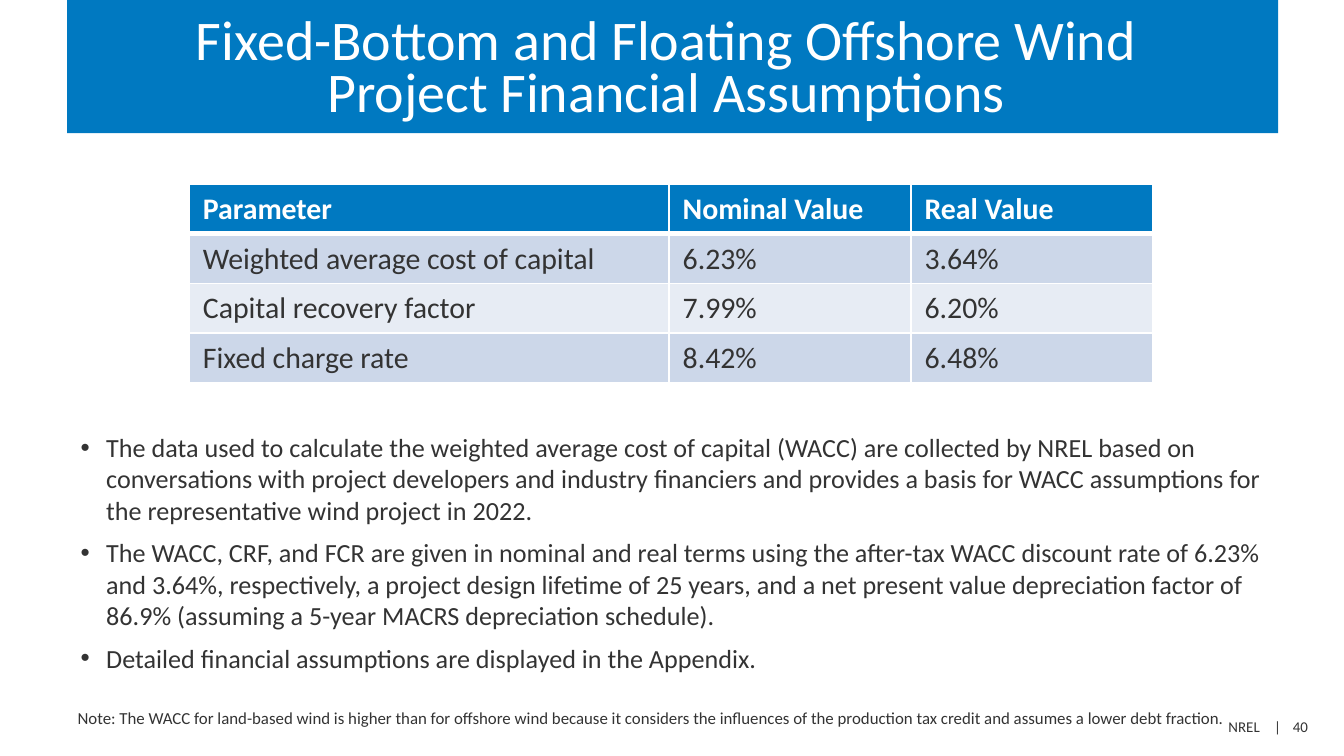
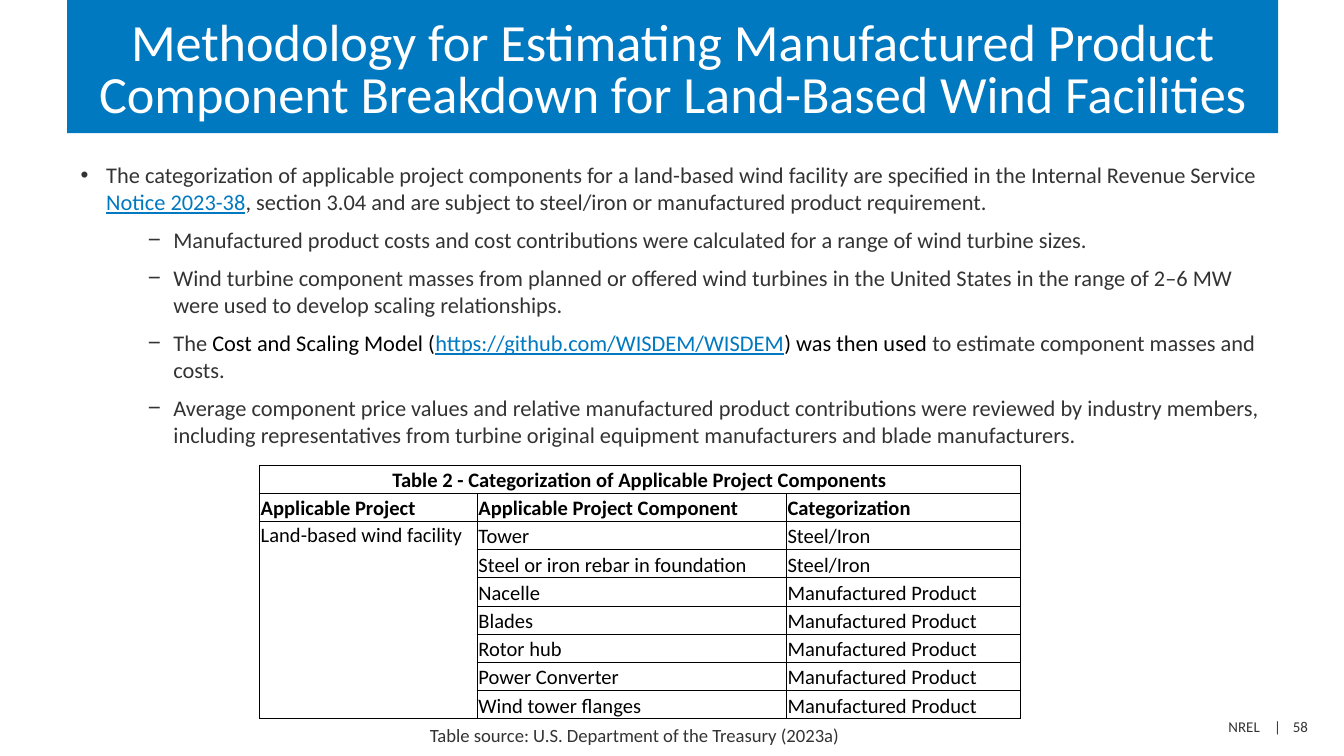
from lxml.etree import SubElement
from pptx import Presentation
from pptx.dml.color import RGBColor
from pptx.enum.text import MSO_ANCHOR as Anchor, MSO_AUTO_SIZE as AutoSize, PP_ALIGN as Align
from pptx.oxml.ns import qn
from pptx.util import Pt

PX = 9144
FONT = "Calibri"
BLUE = RGBColor(0x00, 0x79, 0xC1)
INK = RGBColor(0x33, 0x33, 0x33)
BLACK = RGBColor(0x00, 0x00, 0x00)
WHITE = RGBColor(0xFF, 0xFF, 0xFF)
BAND_DARK = RGBColor(0xCC, 0xD7, 0xE9)
BAND_LIGHT = RGBColor(0xE7, 0xEC, 0xF4)
BULLETS = [("•", 19), ("−", 69)]
HANGING = 19


def style_text(frame, size, color, bold=False):
    for paragraph in frame.paragraphs:
        for run in paragraph.runs:
            run.font.name = FONT
            run.font.size = Pt(size)
            run.font.bold = bold
            run.font.color.rgb = color


def add_grid(slide, rows, left, top, widths, row_height, border, thickness):
    grid = slide.shapes.add_table(
        len(rows), len(widths), left * PX, top * PX, sum(widths) * PX, len(rows) * row_height * PX
    ).table
    grid.first_row = grid.horz_banding = False
    for column, width in zip(grid.columns, widths):
        column.width = width * PX
    for row, values in zip(grid.rows, rows):
        row.height = row_height * PX
        for cell, value in zip(row.cells, values):
            cell.text_frame.text = value
            properties = cell._tc.get_or_add_tcPr()
            for side in ("lnL", "lnR", "lnT", "lnB"):
                line = SubElement(properties, qn(f"a:{side}"), w=str(Pt(thickness)))
                fill = SubElement(line, qn("a:solidFill"))
                SubElement(fill, qn("a:srgbClr"), val=str(border))
    return grid


pages = [
    {
        "title": "Fixed-Bottom and Floating Offshore Wind \vProject Financial Assumptions ",
        "title_size": 30,
        "number": 40,
        "body_top": 316,
        "body_height": 224,
        "body_size": 14,
        "body": [
            (0, [("The data used to calculate the weighted average cost of capital (WACC) are collected by "
                  "NREL based on conversations with project developers and industry financiers and provides "
                  "a basis for WACC assumptions for the representative wind project in 2022.", INK)]),
            (0, [("The WACC, CRF, and FCR are given in nominal and real terms using the after-tax WACC "
                  "discount rate of 6.23% and 3.64%, respectively, a project design lifetime of 25 years, "
                  "and a net present value depreciation factor of 86.9% (assuming a 5-year MACRS "
                  "depreciation schedule).", INK)]),
            (0, [("Detailed financial assumptions are displayed in the Appendix.", INK)]),
        ],
        "caption": "Note: The WACC for land-based wind is higher than for offshore wind because it considers "
                   "the influences of the production tax credit and assumes a lower debt fraction.",
        "caption_box": (48, 522, 883, 25),
        "caption_size": 9,
        "caption_wrap": True,
    },
    {
        "title": "Methodology for Estimating Manufactured Product Component Breakdown "
                 "for Land-Based Wind Facilities",
        "title_size": 28,
        "number": 58,
        "body_top": 115,
        "body_height": 308,
        "body_size": 12,
        "body": [
            (0, [("The categorization of applicable project components for a land-based wind facility are "
                  "specified in the Internal Revenue Service ", INK),
                 ("Notice 2023-38", BLUE),
                 (", section 3.04 and are subject to steel/iron or manufactured product requirement.", INK)]),
            (1, [("Manufactured product costs and cost contributions were calculated for a range of wind "
                  "turbine sizes.", INK)]),
            (1, [("Wind turbine component masses from planned or offered wind turbines in the United States "
                  "in the range of 2–6 MW were used to develop scaling relationships.", INK)]),
            (1, [("The ", INK),
                 ("Cost and Scaling Model (", BLACK),
                 ("https://github.com/WISDEM/WISDEM", BLUE),
                 (") was then used ", BLACK),
                 ("to estimate component masses and costs.", INK)]),
            (1, [("Average component price values and relative manufactured product contributions were "
                  "reviewed by industry members, including representatives from turbine original equipment "
                  "manufacturers and blade manufacturers.", INK)]),
        ],
        "caption": "Table source: U.S. Department of the Treasury (2023a)",
        "caption_box": (310, 534, 331, 27),
        "caption_size": 10,
        "caption_wrap": False,
    },
]

financial_rows = [
    ("Parameter", "Nominal Value", "Real Value"),
    ("Weighted average cost of capital", "6.23%", "3.64%"),
    ("Capital recovery factor", "7.99%", "6.20%"),
    ("Fixed charge rate", "8.42%", "6.48%"),
]
components = [
    ("Tower", "Steel/Iron"),
    ("Steel or iron rebar in foundation", "Steel/Iron"),
    ("Nacelle", "Manufactured Product"),
    ("Blades", "Manufactured Product"),
    ("Rotor hub", "Manufactured Product"),
    ("Power Converter", "Manufactured Product"),
    ("Wind tower flanges", "Manufactured Product"),
]
component_rows = [
    ("Table 2 - Categorization of Applicable Project Components", "", ""),
    ("Applicable Project", "Applicable Project Component", "Categorization"),
]
for index, component in enumerate(components):
    component_rows.append(("" if index else "Land-based wind facility", *component))

deck = Presentation()
deck.slide_width = 1000 * PX
deck.slide_height = deck.slide_width * 9 // 16

for page in pages:
    slide = deck.slides.add_slide(deck.slide_layouts[1])

    title = slide.shapes.title
    title.left, title.top, title.width, title.height = 50 * PX, 0, 901 * PX, 99 * PX
    title.fill.solid()
    title.fill.fore_color.rgb = BLUE
    heading = title.text_frame
    heading.text = page["title"]
    heading.auto_size = AutoSize.NONE
    heading.vertical_anchor = Anchor.MIDDLE
    heading.margin_left = heading.margin_right = 10 * PX
    heading.margin_top, heading.margin_bottom = 13 * PX, 5 * PX
    heading.paragraphs[0].alignment = Align.CENTER
    heading.paragraphs[0].line_spacing = Pt(28)
    style_text(heading, page["title_size"], WHITE)

    body = slide.placeholders[1]
    body.left, body.top = 50 * PX, page["body_top"] * PX
    body.width, body.height = 901 * PX, page["body_height"] * PX
    points = body.text_frame
    points.auto_size = AutoSize.NONE
    for index, (level, pieces) in enumerate(page["body"]):
        point = points.add_paragraph() if index else points.paragraphs[0]
        point.level = level
        point.space_before = Pt(0)
        point.space_after = Pt(6)
        mark, indent = BULLETS[level]
        properties = point._p.get_or_add_pPr()
        properties.set("marL", str(indent * PX))
        properties.set("indent", str(-HANGING * PX))
        SubElement(properties, qn("a:buChar"), char=mark)
        for words, color in pieces:
            run = point.add_run()
            run.text = words
            run.font.name = FONT
            run.font.size = Pt(page["body_size"])
            run.font.color.rgb = color
            run.font.underline = color == BLUE

    footer = slide.shapes.add_textbox(734 * PX, 529 * PX, 249 * PX, 24 * PX).text_frame
    footer.word_wrap = True
    footer.margin_left, footer.margin_right = 180 * PX, 0
    footer.text = f"NREL\t|\t{page['number']}"
    stops = SubElement(footer.paragraphs[0]._p.get_or_add_pPr(), qn("a:tabLst"))
    for stop in (34, 48):
        SubElement(stops, qn("a:tab"), pos=str(stop * PX), algn="l")
    style_text(footer, 8, INK)

    caption = slide.shapes.add_textbox(*[length * PX for length in page["caption_box"]]).text_frame
    caption.word_wrap = page["caption_wrap"]
    caption.text = page["caption"]
    style_text(caption, page["caption_size"], INK)

finance_slide, method_slide = deck.slides

finance = add_grid(finance_slide, financial_rows, 141, 137, (357, 180, 180), 37, WHITE, 1)
for index, row in enumerate(finance.rows):
    for cell in row.cells:
        cell.fill.solid()
        cell.fill.fore_color.rgb = (BAND_DARK if index % 2 else BAND_LIGHT) if index else BLUE
        style_text(cell.text_frame, 16, INK if index else WHITE, bold=index == 0)
        if index < 2:
            edge = cell._tc.tcPr.find(qn("a:lnT" if index else "a:lnB"))
            edge.set("w", str(Pt(3)))

categories = add_grid(method_slide, component_rows, 193, 346, (162, 230, 174), 21, BLACK, 0.5)
for index, row in enumerate(categories.rows):
    for cell in row.cells:
        cell.fill.background()
        cell.margin_left = cell.margin_right = cell.margin_top = PX
        cell.margin_bottom = 0
        cell.vertical_anchor = Anchor.BOTTOM
        style_text(cell.text_frame, 11, BLACK, bold=index < 2)
        if not cell.text_frame.text:
            cell.text_frame.paragraphs[0].font.size = Pt(11)
categories.cell(0, 0).merge(categories.cell(0, 2))
categories.cell(0, 0).text_frame.paragraphs[0].alignment = Align.CENTER
categories.cell(2, 0).merge(categories.cell(8, 0))
categories.cell(2, 0).vertical_anchor = Anchor.TOP

deck.save("out.pptx")
